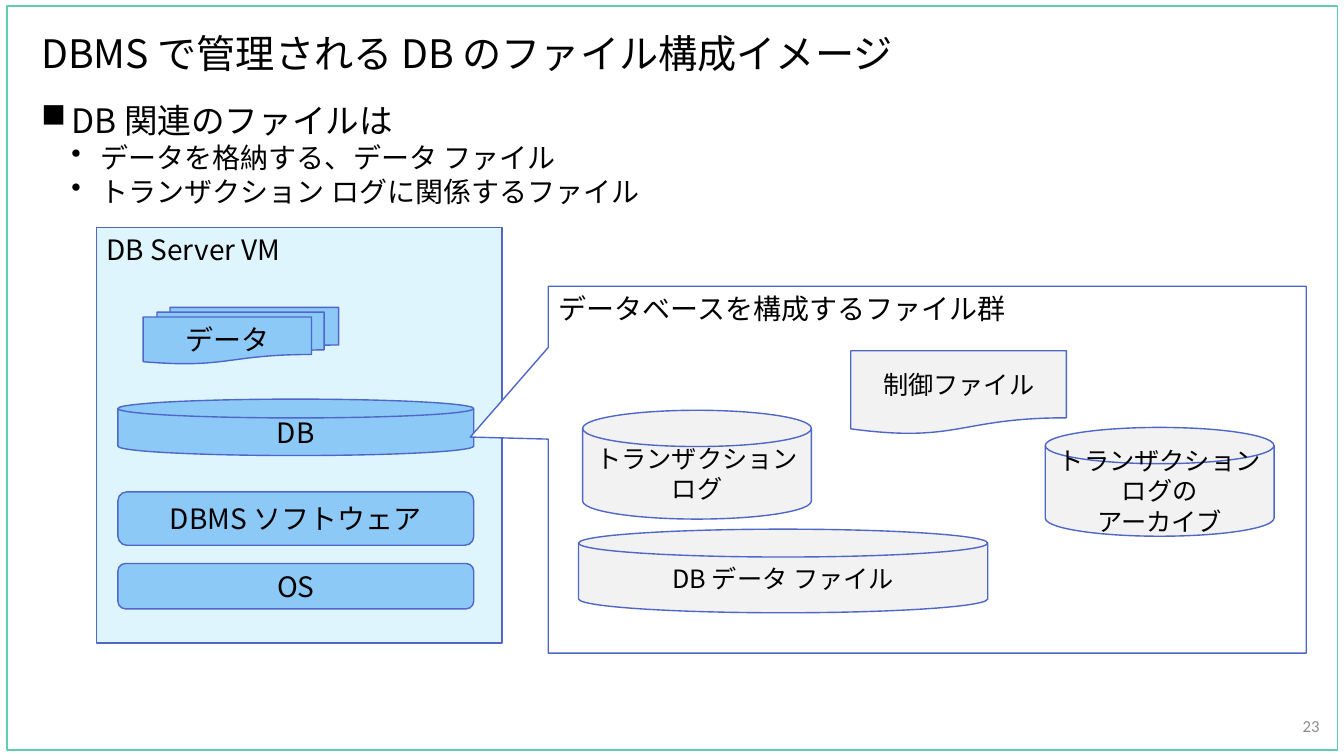
from lxml.etree import SubElement
from pptx import Presentation
from pptx.dml.color import RGBColor
from pptx.enum.shapes import MSO_SHAPE
from pptx.enum.text import MSO_ANCHOR, PP_ALIGN
from pptx.oxml.ns import qn
from pptx.util import Inches, Pt

WIDTH, HEIGHT = Inches(13.333), Inches(7.5)
COLUMNS, ROWS = 160, 90
FONT = "Noto Sans CJK JP"
COLORS = {
    "white": "FFFFFF",
    "frame": "5DCEAF",
    "outline": "4E67C8",
    "server": "DFF5FD",
    "layer": "8CC9F7",
    "file": "F2F2F2",
    "text": "000000",
    "page": "8C8C8C",
}


def color(name):
    return RGBColor.from_string(COLORS[name])


def grid(left, top, width, height):
    column, row = WIDTH / COLUMNS, HEIGHT / ROWS
    return [round(n) for n in (left * column, top * row, width * column, height * row)]


def add_bullet(paragraph, mark, margin, hanging):
    properties = paragraph._p.get_or_add_pPr()
    properties.set("marL", str(Inches(margin)))
    properties.set("indent", str(-Inches(hanging)))
    SubElement(properties, qn("a:buChar")).set("char", mark)


def write(frame, text, size=20, font=FONT, ink="text", align=PP_ALIGN.LEFT,
          anchor=MSO_ANCHOR.TOP, spacing=None, levels=None):
    frame.word_wrap = True
    frame.vertical_anchor = anchor
    for index, line in enumerate(text.split("\n")):
        paragraph = frame.add_paragraph() if index else frame.paragraphs[0]
        paragraph.alignment = align
        if spacing:
            paragraph.line_spacing = spacing
        run = paragraph.add_run()
        run.text = line
        run.font.size = Pt(size)
        run.font.name = font
        run.font.color.rgb = color(ink)
        SubElement(run._r.get_or_add_rPr(), qn("a:ea")).set("typeface", font)
        if levels:
            mark, margin, hanging, points, before = levels[min(index, len(levels) - 1)]
            run.font.size = Pt(points)
            paragraph.space_before = Pt(before)
            add_bullet(paragraph, mark, margin, hanging)


def add_text(slide, area, text, **style):
    write(slide.shapes.add_textbox(*grid(*area)).text_frame, text, **style)


def add_box(slide, kind, area, fill, line="outline"):
    box = slide.shapes.add_shape(kind, *grid(*area))
    box.shadow.inherit = False
    box.fill.solid()
    box.fill.fore_color.rgb = color(fill)
    box.line.color.rgb = color(line)
    box.line.width = Pt(1)
    return box


def add_panel(slide, kind, area, fill, heading):
    panel = add_box(slide, kind, area, fill)
    write(panel.text_frame, heading)
    return panel


def add_item(slide, kind, area, fill, label, size):
    item = add_box(slide, kind, area, fill)
    write(item.text_frame, label, size=size, align=PP_ALIGN.CENTER, anchor=MSO_ANCHOR.MIDDLE)


def add_server(slide):
    add_panel(slide, MSO_SHAPE.RECTANGLE, (11.52, 27.12, 48.24, 49.44), "server", "DB Server VM")
    layers = [
        (MSO_SHAPE.FLOWCHART_MAGNETIC_DISK, 47.52, 6.72, "DB"),
        (MSO_SHAPE.ROUNDED_RECTANGLE, 58.56, 6.36, "DBMS ソフトウェア"),
        (MSO_SHAPE.ROUNDED_RECTANGLE, 67.08, 5.4, "OS"),
    ]
    for kind, top, height, label in layers:
        add_item(slide, kind, (14.04, top, 42.36, height), "layer", label, 20)
    add_item(slide, MSO_SHAPE.FLOWCHART_MULTIDOCUMENT, (17.04, 36.6, 23.28, 6.72),
             "layer", "データ", 20)


def add_database_files(slide):
    callout = add_panel(slide, MSO_SHAPE.RECTANGULAR_CALLOUT, (65.28, 34.08, 90.24, 43.68),
                        "white", "データベースを構成するファイル群")
    callout.adjustments[0] = -0.603
    callout.adjustments[1] = -0.089
    disk, document = MSO_SHAPE.FLOWCHART_MAGNETIC_DISK, MSO_SHAPE.FLOWCHART_DOCUMENT
    files = [
        (disk, (68.88, 63, 48.72, 9.96), "DB データ ファイル"),
        (disk, (69.36, 48.84, 27.24, 12.96), "トランザクション\nログ"),
        (document, (101.28, 41.76, 25.68, 9.96), "制御ファイル"),
        (disk, (124.44, 50.88, 27.24, 12.96), "トランザクション\nログの\nアーカイブ"),
    ]
    for kind, area, label in files:
        add_item(slide, kind, area, "file", label, 18)


def main():
    deck = Presentation()
    deck.slide_width, deck.slide_height = WIDTH, HEIGHT
    slide = deck.slides.add_slide(deck.slide_layouts[6])
    add_box(slide, MSO_SHAPE.RECTANGLE, (0.84, 0.72, 158.4, 88.56), "white", "frame")
    add_server(slide)
    add_text(slide, (3.72, 2.88, 152.04, 7.56), "DBMS で管理される DB のファイル構成イメージ",
             size=28, anchor=MSO_ANCHOR.MIDDLE, spacing=0.9)
    add_text(slide, (150.24, 84.6, 8.04, 3.6), "23", size=12, font="Calibri", ink="page",
             align=PP_ALIGN.RIGHT, anchor=MSO_ANCHOR.MIDDLE)
    add_text(slide, (3.72, 12.24, 152.04, 13.8),
             "DB 関連のファイルは\nデータを格納する、データ ファイル\nトランザクション ログに関係するファイル",
             spacing=0.8, levels=[("■", 0.3, 0.3, 24, 10), ("•", 0.59, 0.29, 20, 5)])
    add_database_files(slide)
    deck.save("out.pptx")


if __name__ == "__main__":
    main()
